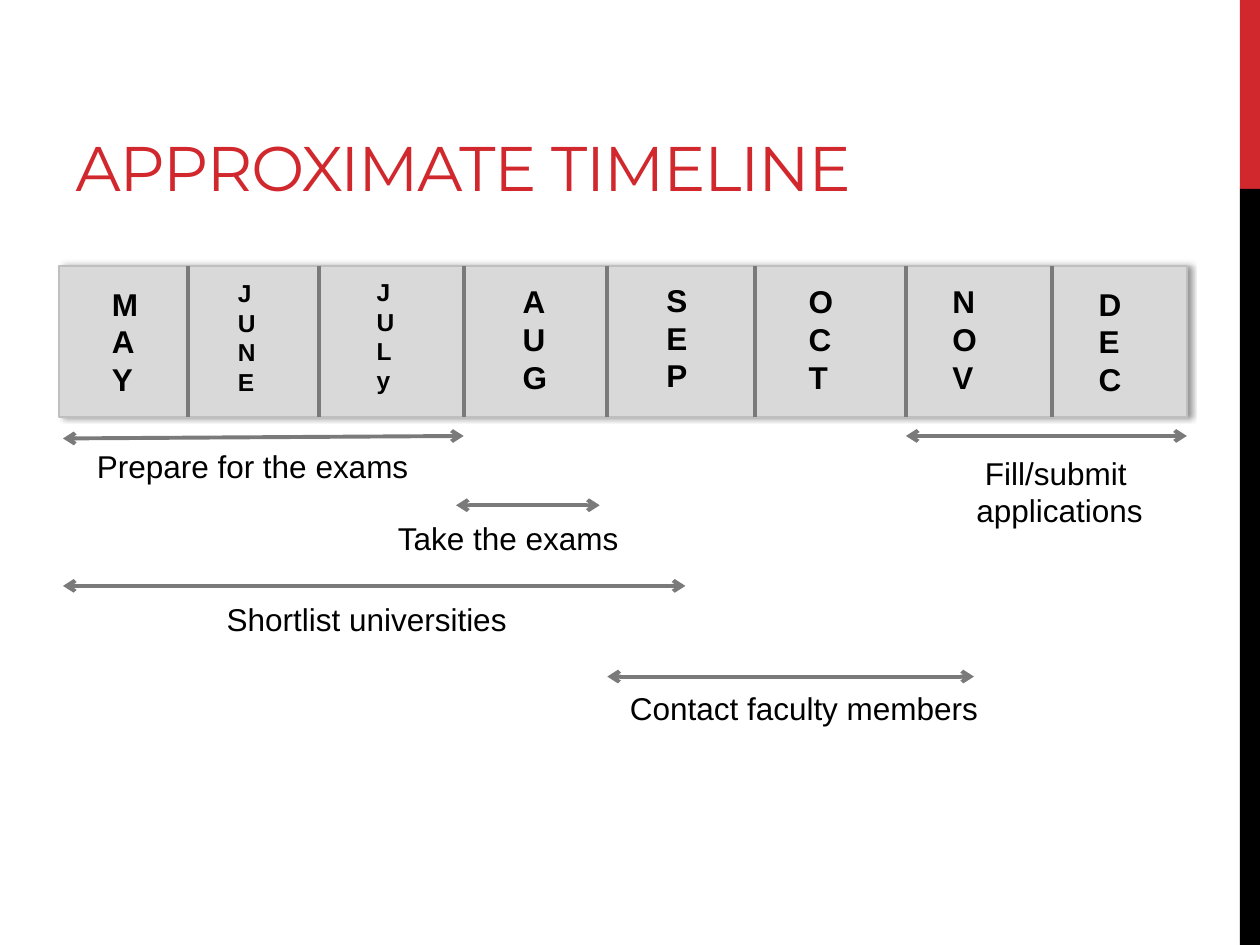
from lxml import etree
from pptx import Presentation
from pptx.dml.color import RGBColor
from pptx.enum.shapes import MSO_CONNECTOR, MSO_SHAPE
from pptx.enum.text import MSO_ANCHOR, MSO_AUTO_SIZE, PP_ALIGN
from pptx.oxml import parse_xml
from pptx.oxml.ns import nsdecls, qn
from pptx.util import Pt

PX = 9144
RECT = MSO_SHAPE.RECTANGLE
STRAIGHT = MSO_CONNECTOR.STRAIGHT
BOTTOM = MSO_ANCHOR.BOTTOM
NO_FIT = MSO_AUTO_SIZE.NONE
GROW = MSO_AUTO_SIZE.SHAPE_TO_FIT_TEXT
LEFT = PP_ALIGN.LEFT

THEME = {
    "red": RGBColor(0xD1, 0x28, 0x2E),
    "black": RGBColor(0, 0, 0),
    "band": RGBColor(0xD9, 0xD9, 0xD9),
    "edge": RGBColor(0xBF, 0xBF, 0xBF),
    "rule": RGBColor(0x7A, 0x7A, 0x7A),
    "title": {"name": "Montserrat", "size": Pt(36)},
    "label": {"name": "Arial", "size": Pt(18), "bold": False},
    "month": {"name": "Arial", "size": Pt(18), "bold": True},
    "small_month": {"name": "Arial", "size": Pt(14), "bold": True},
    "rule_width": Pt(2.25),
}

prs = Presentation()
prs.slide_width, prs.slide_height = 1000 * PX, 750 * PX
s = prs.slides.add_slide(prs.slide_layouts[5])


def add_text(box, lines, style, wrap):
    sp = s.shapes.add_textbox(*[v * PX for v in box])
    tf = sp.text_frame
    tf.word_wrap = wrap
    tf.auto_size = GROW
    for i, line in enumerate(lines):
        p = tf.paragraphs[0] if i == 0 else tf.add_paragraph()
        r = p.add_run()
        r.text = line
        r.font.color.rgb = THEME["black"]
        for key, value in THEME[style].items():
            setattr(r.font, key, value)


def add_line(x1, y1, x2, y2, arrows=False):
    sp = s.shapes.add_connector(STRAIGHT, x1 * PX, y1 * PX, x2 * PX, y2 * PX)
    sp.line.color.rgb = THEME["rule"]
    sp.line.width = THEME["rule_width"]
    if arrows:
        ln = sp.line._get_or_add_ln()
        for end in ("a:headEnd", "a:tailEnd"):
            etree.SubElement(ln, qn(end), type="arrow")
    etree.SubElement(sp._element.spPr, qn("a:effectLst"))


for top, height, color in ((0, 150, "red"), (150, 600, "black")):
    sp = s.shapes.add_shape(RECT, 984 * PX, top * PX, 16 * PX, height * PX)
    sp.shadow.inherit = False
    sp.fill.solid()
    sp.fill.fore_color.rgb = THEME[color]
    sp.line.fill.background()

title = s.shapes.title
title.left, title.top, title.width, title.height = [v * PX for v in (50, 17, 790, 150)]
tf = title.text_frame
tf.auto_size = NO_FIT
tf.vertical_anchor = BOTTOM
p = tf.paragraphs[0]
p.alignment = LEFT
r = p.add_run()
r.text = "APPROXIMATE TIMELINE"
r.font.color.rgb = THEME["red"]
for key, value in THEME["title"].items():
    setattr(r.font, key, value)
r.font._element.set("spc", "-60")

band_top, band_bottom = 211, 331
band = s.shapes.add_shape(RECT, 47 * PX, band_top * PX, 895 * PX, (band_bottom - band_top) * PX)
band.fill.solid()
band.fill.fore_color.rgb = THEME["band"]
band.line.color.rgb = THEME["edge"]
band.line.width = Pt(1)
band._element.spPr.append(parse_xml(
    f'<a:effectLst {nsdecls("a")}>'
    f'<a:outerShdw blurRad="{Pt(3.1)}" dist="{Pt(1.8)}" dir="0" rotWithShape="0">'
    '<a:srgbClr val="000000"><a:alpha val="40000"/></a:srgbClr>'
    '</a:outerShdw></a:effectLst>'))

for x in (149, 253, 368, 482, 599, 719, 835):
    add_line(x, band_top, x, band_bottom)

months = (
    ("MAY", 79, 221, "month"),
    ("JUNE", 179, 216, "small_month"),
    ("JULy", 289, 215, "small_month"),
    ("AUG", 405, 219, "month"),
    ("SEP", 519, 218, "month"),
    ("OCT", 632, 219, "month"),
    ("NOV", 746, 219, "month"),
    ("DEC", 862, 221, "month"),
)
for name, left, top, style in months:
    add_text((left, top, 65, 101), name, style, True)

tasks = (
    ((50, 348, 368, 346), (67, 350, 295, 40), ["Prepare for the exams"]),
    ((362, 401, 476, 401), (306, 407, 222, 40), ["Take the exams"]),
    ((50, 465, 544, 465), (170, 471, 245, 40), ["Shortlist universities"]),
    ((482, 537, 773, 537), (490, 542, 299, 40), ["Contact faculty members"]),
    ((719, 346, 942, 346), (765, 355, 154, 71), [" Fill/submit", "applications"]),
)
for span, box, lines in tasks:
    add_line(*span, arrows=True)
    add_text(box, lines, "label", False)

prs.save("out.pptx")
